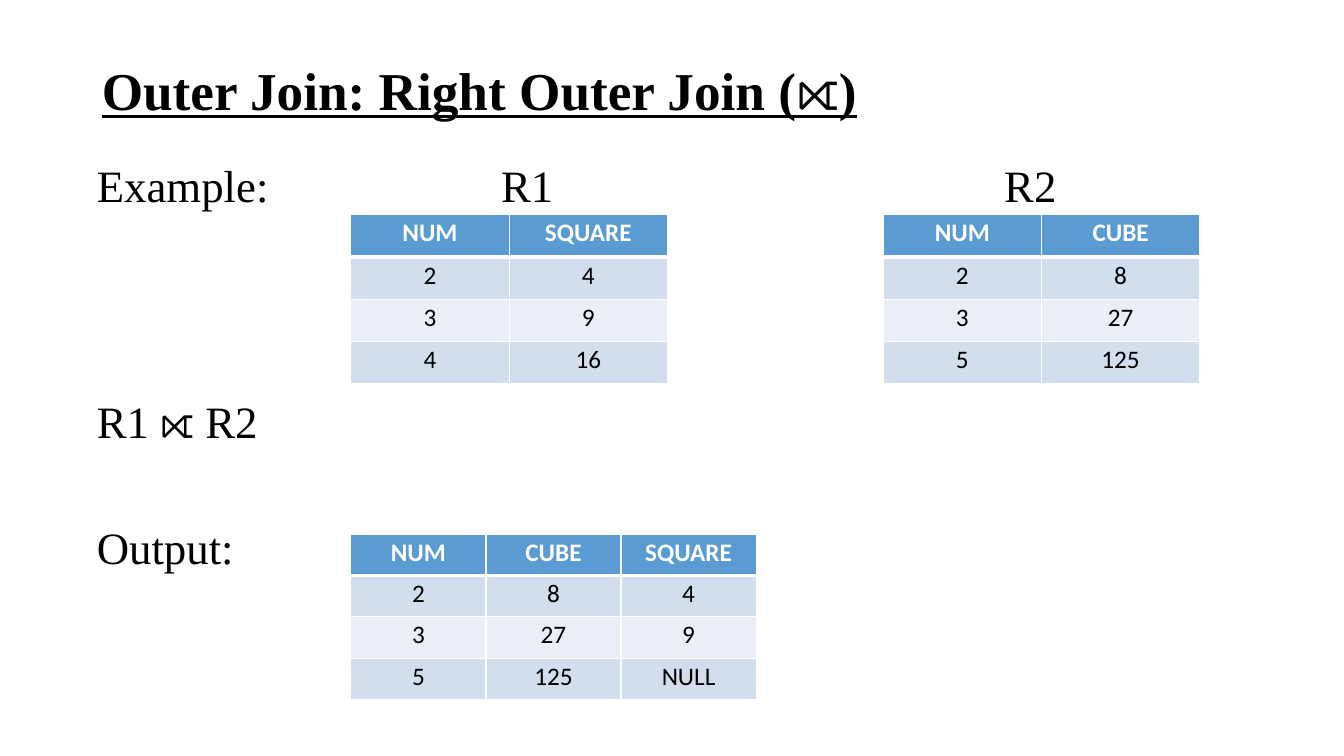
"""Slide showing a right outer join of two small tables."""
from lxml import etree
from pptx import Presentation
from pptx.dml.color import RGBColor
from pptx.enum import text
from pptx.oxml import ns
from pptx.util import Inches, Pt

BLACK = RGBColor(0x00, 0x00, 0x00)
WHITE = RGBColor(0xFF, 0xFF, 0xFF)
HEADER_BLUE = RGBColor(0x5B, 0x9B, 0xD4)
BAND_DARK = RGBColor(0xD2, 0xDE, 0xEE)
BAND_LIGHT = RGBColor(0xEA, 0xEE, 0xF7)


def add_label(left, top, width, height, lines, size=32, inset=0.01, indent=0.01):
    frame = slide.shapes.add_textbox(
        Inches(left), Inches(top), Inches(width), Inches(height)).text_frame
    frame.word_wrap = True
    frame.margin_left = frame.margin_right = frame.margin_bottom = 0
    frame.margin_top = Inches(inset)
    frame.text = "\n".join(lines)
    for paragraph in frame.paragraphs:
        properties = paragraph._p.get_or_add_pPr()
        properties.set("marL", str(Inches(indent)))
        if "\t" in paragraph.text:
            tabs = etree.SubElement(properties, ns.qn("a:tabLst"))
            etree.SubElement(tabs, ns.qn("a:tab"), pos=str(Inches(4.01)), algn="l")
        paragraph.font.name = "Times New Roman"
        paragraph.font.size = Pt(size)
        paragraph.font.color.rgb = BLACK
    return frame.paragraphs


def add_border(cell, side, points):
    line = etree.SubElement(cell._tc.get_or_add_tcPr(), ns.qn(f"a:{side}"),
                            w=str(Pt(points)))
    fill = etree.SubElement(line, ns.qn("a:solidFill"))
    etree.SubElement(fill, ns.qn("a:srgbClr"), val=str(WHITE))


deck = Presentation()
deck.slide_width, deck.slide_height = Inches(13.33), Inches(7.5)
slide = deck.slides.add_slide(deck.slide_layouts[6])

heading = add_label(0.95, 0.03, 11.43, 1.17, [""], 38, 0.51, 0.06)[0]
heading.font.bold = heading.font.underline = True
for part in ("Outer Join: Right Outer Join (", "⟖", ")"):
    run = heading.add_run()
    run.text = part
    if part == "⟖":
        run.font.size = Pt(40)
        run.font.bold = False

add_label(0.95, 1.56, 4.55, 0.56, ["Example:\tR1"])
add_label(9.95, 1.56, 0.55, 0.56, ["R2"])
expression, output = add_label(0.95, 3.9, 1.71, 1.8, ["R1 ⟖ R2", "Output:"])
output.space_before = Pt(51)

relations = [
    (3.48, 2.13, 1.57, 0.42,
     [("NUM", "SQUARE"), ("2", "4"), ("3", "9"), ("4", "16")]),
    (8.76, 2.13, 1.57, 0.42,
     [("NUM", "CUBE"), ("2", "8"), ("3", "27"), ("5", "125")]),
    (3.48, 5.3, 1.34, 0.41,
     [("NUM", "CUBE", "SQUARE"), ("2", "8", "4"), ("3", "27", "9"),
      ("5", "125", "NULL")]),
]
for left, top, column_width, row_height, rows in relations:
    columns = len(rows[0])
    relation = slide.shapes.add_table(
        len(rows), columns, Inches(left), Inches(top),
        Inches(column_width * columns), Inches(row_height * len(rows))).table
    for r, row in enumerate(rows):
        for c, value in enumerate(row):
            cell = relation.cell(r, c)
            cell.margin_left = cell.margin_right = cell.margin_bottom = 0
            cell.margin_top = Inches(0.03)
            for side in ("lnL", "lnR", "lnT", "lnB"):
                thick = (r, side) in ((0, "lnB"), (1, "lnT"))
                add_border(cell, side, 3 if thick else 1)
            cell.fill.solid()
            cell.fill.fore_color.rgb = (
                HEADER_BLUE if r == 0 else BAND_DARK if r % 2 else BAND_LIGHT)
            cell.text = value
            paragraph = cell.text_frame.paragraphs[0]
            paragraph.alignment = text.PP_ALIGN.CENTER
            paragraph.font.name = "Calibri"
            paragraph.font.size = Pt(18)
            paragraph.font.bold = r == 0
            paragraph.font.color.rgb = BLACK if r else WHITE

deck.save("out.pptx")
